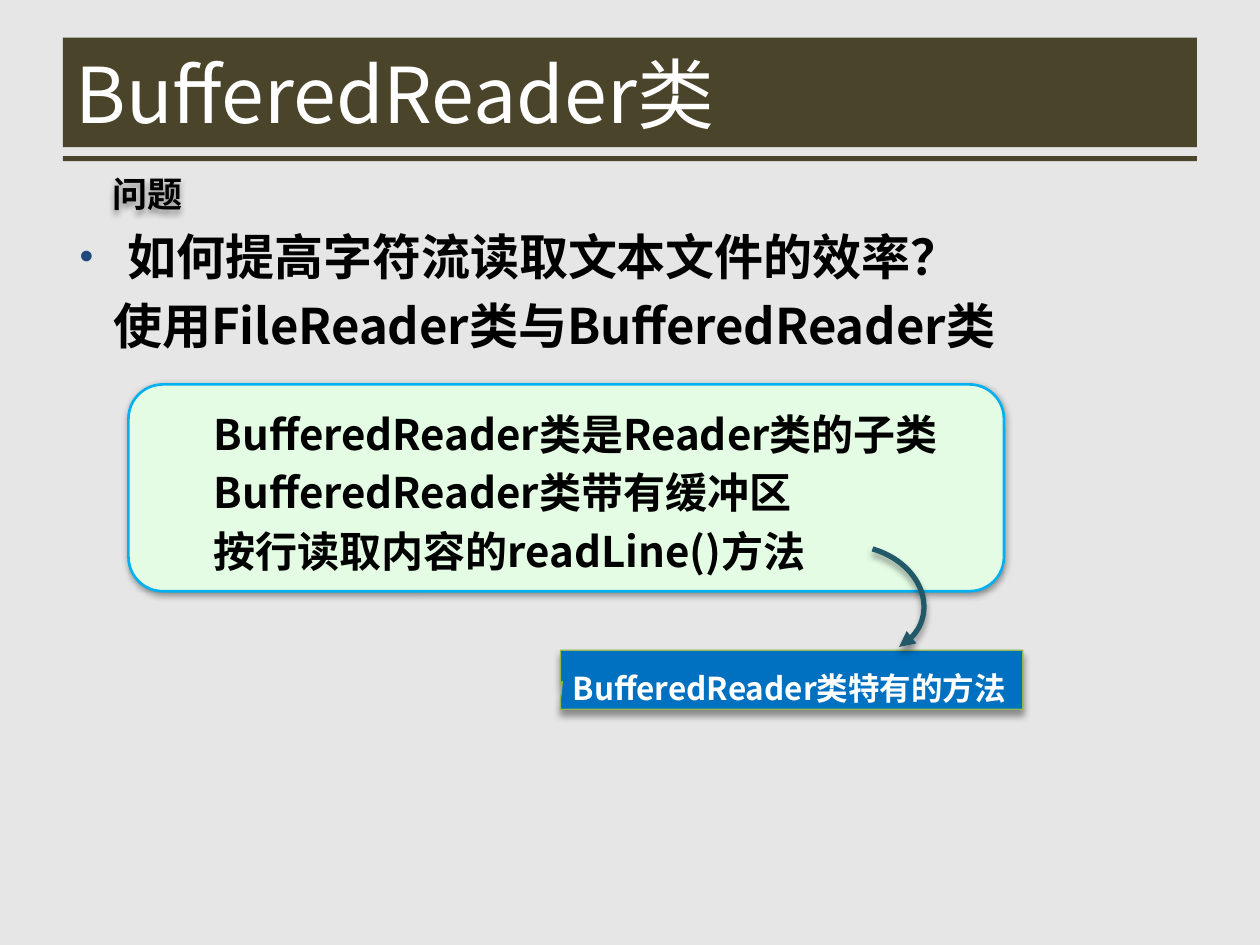
from dataclasses import dataclass

from lxml import etree
from pptx import Presentation
from pptx.dml.color import RGBColor
from pptx.enum.shapes import MSO_SHAPE
from pptx.enum.text import MSO_ANCHOR, MSO_AUTO_SIZE, PP_ALIGN
from pptx.oxml.ns import qn
from pptx.util import Cm, Pt


@dataclass(frozen=True)
class Theme:
    font: str = "Noto Sans CJK SC"
    background: str = "E7E6E6"
    band: str = "4A452A"
    light: str = "FFFFFF"
    dark: str = "000000"
    bullet: str = "1F497D"
    panel: str = "E4FCE4"
    panel_line: str = "00B0F0"
    callout: str = "0070C0"
    callout_line: str = "95B74F"
    arrow: str = "215968"
    title_size: int = 44
    body_size: int = 28
    panel_size: int = 24
    label_size: int = 20
    callout_size: int = 18


def rgb(color):
    return RGBColor.from_string(color)


def add_xml(parent, tag, **attrs):
    child = etree.SubElement(parent, qn(tag))
    for name, value in attrs.items():
        child.set(name, str(value))
    return child


class SlideBuilder:
    def __init__(self, slide, theme):
        self.slide = slide
        self.theme = theme
        fill = slide.background.fill
        fill.solid()
        fill.fore_color.rgb = rgb(theme.background)

    def style(self, p, size, color, bold=True):
        for r in p.runs:
            r.font.size = Pt(size)
            r.font.bold = bold
            r.font.color.rgb = rgb(color)
            r.font.name = self.theme.font
            add_xml(r.font._element, "a:ea", typeface=self.theme.font)

    def set_text(self, sp, lines, size, color, anchor, bold=True, wrap=True):
        tf = sp.text_frame
        tf.text = "\n".join(lines)
        tf.word_wrap = wrap
        tf.auto_size = MSO_AUTO_SIZE.NONE
        tf.vertical_anchor = anchor
        for p in tf.paragraphs:
            p.alignment = PP_ALIGN.LEFT
            self.style(p, size, color, bold)
        return tf

    def indent(self, p, left, first=0, bullet=None):
        pPr = p._p.get_or_add_pPr()
        pPr.set("marL", str(Cm(left)))
        pPr.set("indent", str(Cm(first)))
        if bullet:
            add_xml(add_xml(pPr, "a:buClr"), "a:srgbClr", val=self.theme.bullet)
            add_xml(pPr, "a:buSzPct", val=80000)
            add_xml(pPr, "a:buFont", typeface="Arial")
            add_xml(pPr, "a:buChar", char=bullet)
        else:
            add_xml(pPr, "a:buNone")

    def shadow(self, sp, distance):
        effects = add_xml(sp._element.spPr, "a:effectLst")
        outer = add_xml(effects, "a:outerShdw", blurRad=Pt(4), dist=Pt(distance),
                        dir=5400000, rotWithShape=0)
        color = add_xml(outer, "a:srgbClr", val=self.theme.dark)
        add_xml(color, "a:alpha", val=40000)

    def shape(self, kind, box, fill=None, line=None, width=0.75, shadow=None):
        sp = self.slide.shapes.add_shape(kind, *map(Cm, box))
        if fill:
            sp.fill.solid()
            sp.fill.fore_color.rgb = rgb(fill)
        else:
            sp.fill.background()
        if line:
            sp.line.color.rgb = rgb(line)
            sp.line.width = Pt(width)
        else:
            sp.line.fill.background()
        if shadow:
            self.shadow(sp, shadow)
        else:
            sp.shadow.inherit = False
        return sp

    def placeholder(self, idx, box):
        """Place a template placeholder in front of what is already drawn."""
        sp = self.slide.placeholders[idx]
        sp.left, sp.top, sp.width, sp.height = map(Cm, box)
        self.slide.shapes._spTree.append(sp._element)
        return sp

    def title(self, text, box):
        t = self.theme
        self.set_text(self.placeholder(0, box), [text], t.title_size, t.light,
                      MSO_ANCHOR.MIDDLE, bold=False)

    def body(self, question, answer, box):
        t = self.theme
        tf = self.set_text(self.placeholder(1, box), [question, answer],
                           t.body_size, t.dark, MSO_ANCHOR.TOP)
        tf.margin_top = Cm(1.4)
        first, second = tf.paragraphs
        self.indent(first, 0.97, -0.97, "•")
        self.indent(second, 0.68)
        for p in tf.paragraphs:
            p.space_before = Pt(0)
            p.line_spacing = Pt(39.4)

    def label(self, text, box):
        t = self.theme
        sp = self.slide.shapes.add_textbox(*map(Cm, box))
        self.set_text(sp, [text], t.label_size, t.dark, MSO_ANCHOR.MIDDLE, wrap=False)
        self.shadow(sp, 2)

    def callout(self, text, box):
        t = self.theme
        sp = self.shape(MSO_SHAPE.RECTANGULAR_CALLOUT, box, t.callout,
                        t.callout_line, shadow=3)
        sp.adjustments[0], sp.adjustments[1] = -0.496, 0.031
        tf = self.set_text(sp, [text], t.callout_size, t.light, MSO_ANCHOR.BOTTOM,
                           wrap=False)
        tf.margin_bottom = Cm(0.05)

    def panel(self, lines, box):
        t = self.theme
        sp = self.shape(MSO_SHAPE.ROUNDED_RECTANGLE, box, t.panel, t.panel_line,
                        1.5, shadow=1)
        tf = self.set_text(sp, lines, t.panel_size, t.dark, MSO_ANCHOR.MIDDLE)
        for p in tf.paragraphs:
            self.indent(p, 1.27)
            p.line_spacing = Pt(33.5)

    def arc_arrow(self, box, rotation, start, end):
        """Draw an arc between two angles in degrees, with its head at the end."""
        sp = self.shape(MSO_SHAPE.ARC, box, line=self.theme.arrow, width=3, shadow=3)
        sp.rotation = rotation
        for i, angle in enumerate((start, end)):
            sp.adjustments[i] = angle * 0.6
        add_xml(sp.line._get_or_add_ln(), "a:tailEnd", type="triangle")


def main():
    prs = Presentation()
    prs.slide_width, prs.slide_height = Cm(25.4), Cm(19.05)
    theme = Theme()
    s = SlideBuilder(prs.slides.add_slide(prs.slide_layouts[1]), theme)

    title_box = (1.27, 0.76, 22.86, 2.21)
    rule_box = (1.27, 3.15, 22.86, 0.1)
    for box in (title_box, rule_box):
        s.shape(MSO_SHAPE.RECTANGLE, box, theme.band)
    s.title("BufferedReader类", title_box)
    s.body("如何提高字符流读取文本文件的效率？",
           "使用FileReader类与BufferedReader类", (1.35, 2.97, 22.86, 14.3))
    s.label("问题", (2.01, 3.35, 1.96, 1.12))
    s.callout("BufferedReader类特有的方法", (11.3, 13.11, 9.32, 1.19))
    s.panel(["BufferedReader类是Reader类的子类",
             "BufferedReader类带有缓冲区",
             "按行读取内容的readLine()方法"], (2.59, 7.75, 17.65, 4.17))
    s.arc_arrow((16.18, 10.74, 2.18, 2.74), 104.1, 182.8, 303.4)
    prs.save("out.pptx")


if __name__ == "__main__":
    main()
